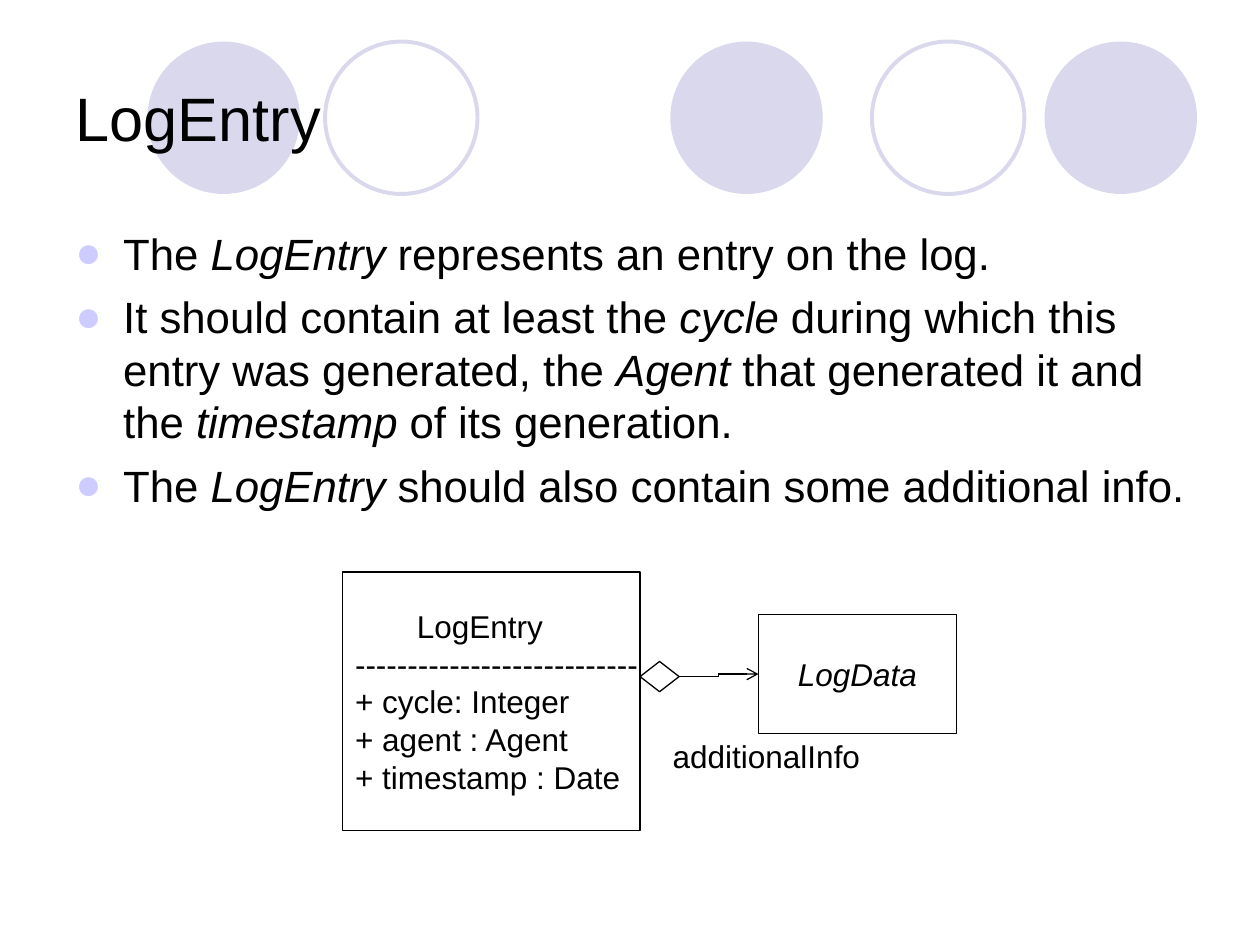
from lxml.etree import SubElement
from pptx import Presentation
from pptx.dml.color import RGBColor
from pptx.enum.shapes import MSO_CONNECTOR, MSO_SHAPE
from pptx.enum.text import MSO_ANCHOR, MSO_AUTO_SIZE, PP_ALIGN
from pptx.oxml.ns import qn
from pptx.util import Inches, Pt

COLUMNS, ROWS = 100, 75
BLACK, WHITE, LILAC, BULLET = "000000", "FFFFFF", "D9D8EC", "CCCCFF"


def color(value):
    return RGBColor.from_string(value)


class Deck:
    """Holds the style and the current slide; lengths are grid columns and rows."""

    font = "Arial"
    label_size = 18
    line_width = 0.75

    def __init__(self):
        self.presentation = Presentation()
        self.presentation.slide_width = Inches(10)
        self.presentation.slide_height = Inches(7.5)
        self.slide = self.presentation.slides.add_slide(self.presentation.slide_layouts[5])

    def place(self, left, top, width, height):
        column = self.presentation.slide_width / COLUMNS
        row = self.presentation.slide_height / ROWS
        return [round(length) for length in
                (left * column, top * row, width * column, height * row)]

    def style(self, paragraph, size, italic=None):
        paragraph.font.name = self.font
        paragraph.font.size = Pt(size)
        paragraph.font.italic = italic
        paragraph.font.color.rgb = color(BLACK)

    def title(self, text, box, size):
        title = self.slide.shapes.title
        title.left, title.top, title.width, title.height = self.place(*box)
        title.text_frame.text = text
        title.text_frame.auto_size = MSO_AUTO_SIZE.NONE
        title.text_frame.vertical_anchor = MSO_ANCHOR.MIDDLE
        paragraph = title.text_frame.paragraphs[0]
        paragraph.alignment = PP_ALIGN.LEFT
        self.style(paragraph, size)

    def shape(self, kind, box, fill=None, line=None, width=line_width):
        shape = self.slide.shapes.add_shape(kind, *self.place(*box))
        shape.shadow.inherit = False
        if fill:
            shape.fill.solid()
            shape.fill.fore_color.rgb = color(fill)
        else:
            shape.fill.background()
        if line:
            shape.line.color.rgb = color(line)
            shape.line.width = Pt(width)
        else:
            shape.line.fill.background()
        return shape

    def circle(self, left, filled):
        """Add a decorative circle behind the title."""
        box = (left, 3.3, 12.1, 12.1)
        if filled:
            circle = self.shape(MSO_SHAPE.OVAL, box, fill=LILAC)
        else:
            circle = self.shape(MSO_SHAPE.OVAL, box, line=LILAC, width=2.25)
        self.slide.shapes.title.element.addprevious(circle.element)

    def class_box(self, box, lines, alignment, italic=None):
        shape = self.shape(MSO_SHAPE.RECTANGLE, box, fill=WHITE, line=BLACK)
        frame = shape.text_frame
        frame.word_wrap = False
        frame.vertical_anchor = MSO_ANCHOR.MIDDLE
        frame.text = "\n".join(lines)
        for paragraph in frame.paragraphs:
            paragraph.alignment = alignment
            self.style(paragraph, self.label_size, italic)
        return shape

    def label(self, text, box):
        frame = self.slide.shapes.add_textbox(*self.place(*box)).text_frame
        frame.word_wrap = False
        frame.text = text
        self.style(frame.paragraphs[0], self.label_size)

    def bullets(self, items, box, size):
        """Add bulleted paragraphs; each item alternates plain and italic parts."""
        frame = self.slide.shapes.add_textbox(*self.place(*box)).text_frame
        frame.word_wrap = True
        for index, parts in enumerate(items):
            paragraph = frame.add_paragraph() if index else frame.paragraphs[0]
            if index:
                paragraph.space_before = Pt(6.2)
            self.bullet(paragraph)
            self.style(paragraph, size)
            for position, part in enumerate(parts):
                run = paragraph.add_run()
                run.text = part
                run.font.italic = position % 2 == 1

    def bullet(self, paragraph):
        properties = paragraph._p.get_or_add_pPr()
        indent = Inches(0.38)
        properties.set("marL", str(indent))
        properties.set("indent", str(-indent))
        bullet_color = SubElement(properties, qn("a:buClr"))
        SubElement(bullet_color, qn("a:srgbClr"), val=BULLET)
        SubElement(properties, qn("a:buFont"), typeface=self.font)
        SubElement(properties, qn("a:buChar"), char="●")

    def elbow_arrow(self, start, end):
        """Join the right side of one shape to the left side of another."""
        connector = self.slide.shapes.add_connector(MSO_CONNECTOR.ELBOW, 0, 0, 0, 0)
        connector.begin_connect(start, 3)
        connector.end_connect(end, 1)
        connector.line.color.rgb = color(BLACK)
        connector.line.width = Pt(self.line_width)
        SubElement(connector.line._get_or_add_ln(), qn("a:tailEnd"), type="arrow")
        SubElement(connector.element.spPr, qn("a:effectLst"))


def main():
    deck = Deck()
    for left, filled in ((53.2, True), (82.9, True), (11.7, True), (69.2, False), (25.8, False)):
        deck.circle(left, filled)
    deck.title("LogEntry", (5, 3, 90, 12.5), 35)
    deck.bullets([
        ("The ", "LogEntry", " represents an entry on the log."),
        ("It should contain at least the ", "cycle",
         " during which this entry was generated, the ", "Agent ",
         "that generated it and the ", "timestamp", " of its generation."),
        ("The ", "LogEntry ", "should also contain some additional info."),
    ], (5, 17.5, 90, 49.5), 25)

    log_data = deck.class_box((60.2, 48.8, 15.7, 9.4), ["LogData"], PP_ALIGN.CENTER, italic=True)
    log_entry = deck.class_box((27.2, 45.4, 23.6, 20.5), [
        "LogEntry",
        "-" * 27,
        "+ cycle: Integer",
        "+ agent : Agent",
        "+ timestamp : Date",
    ], PP_ALIGN.LEFT)
    heading = log_entry.text_frame.paragraphs[0]
    heading._p.get_or_add_pPr().set("marL", str(Inches(0.49)))
    diamond = deck.shape(MSO_SHAPE.DIAMOND, (50.8, 52.5, 3.1, 2.4), fill=WHITE, line=BLACK)
    deck.elbow_arrow(diamond, log_data)
    deck.label("additionalInfo", (52.4, 58, 16.9, 4))
    deck.presentation.save("out.pptx")


if __name__ == "__main__":
    main()
